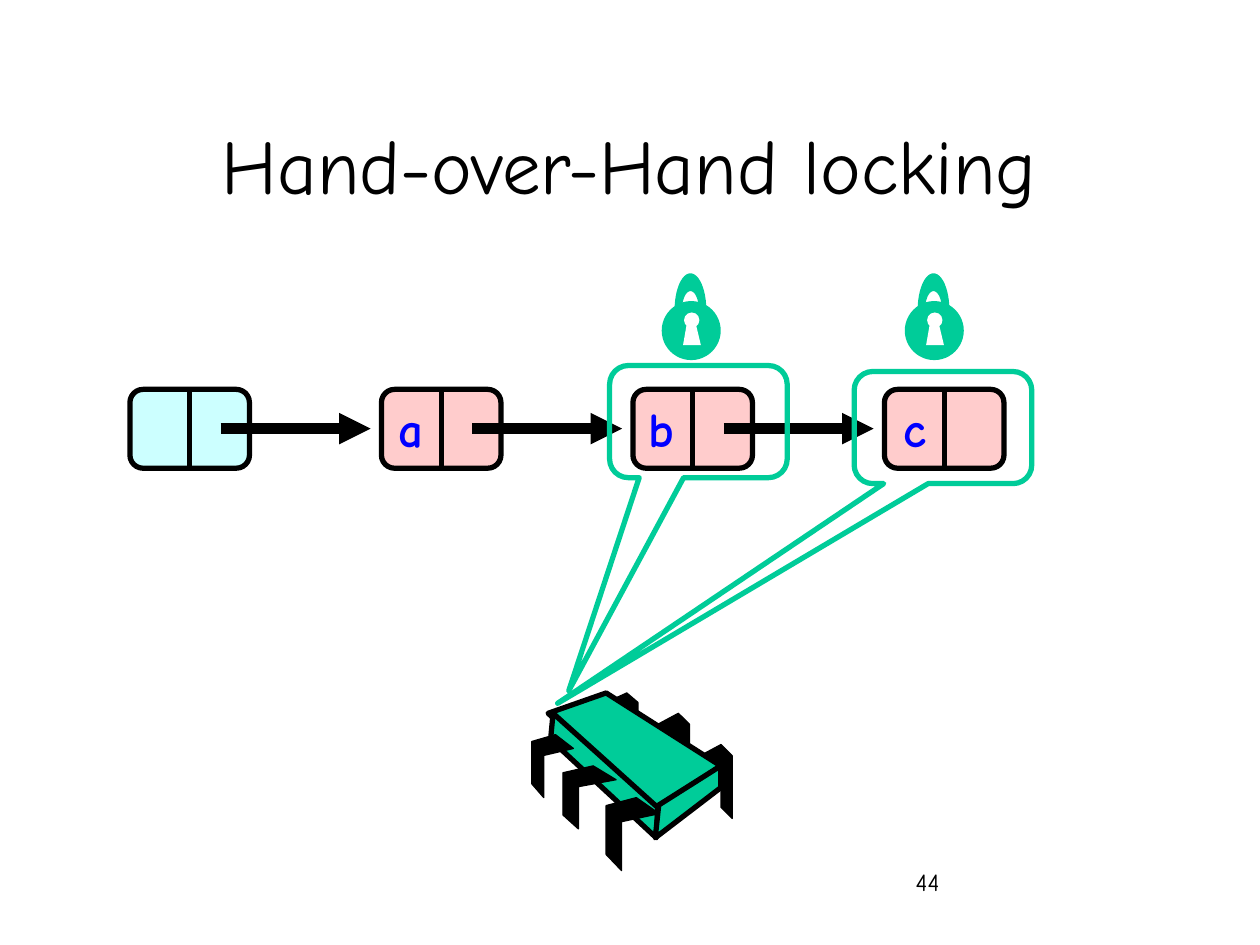
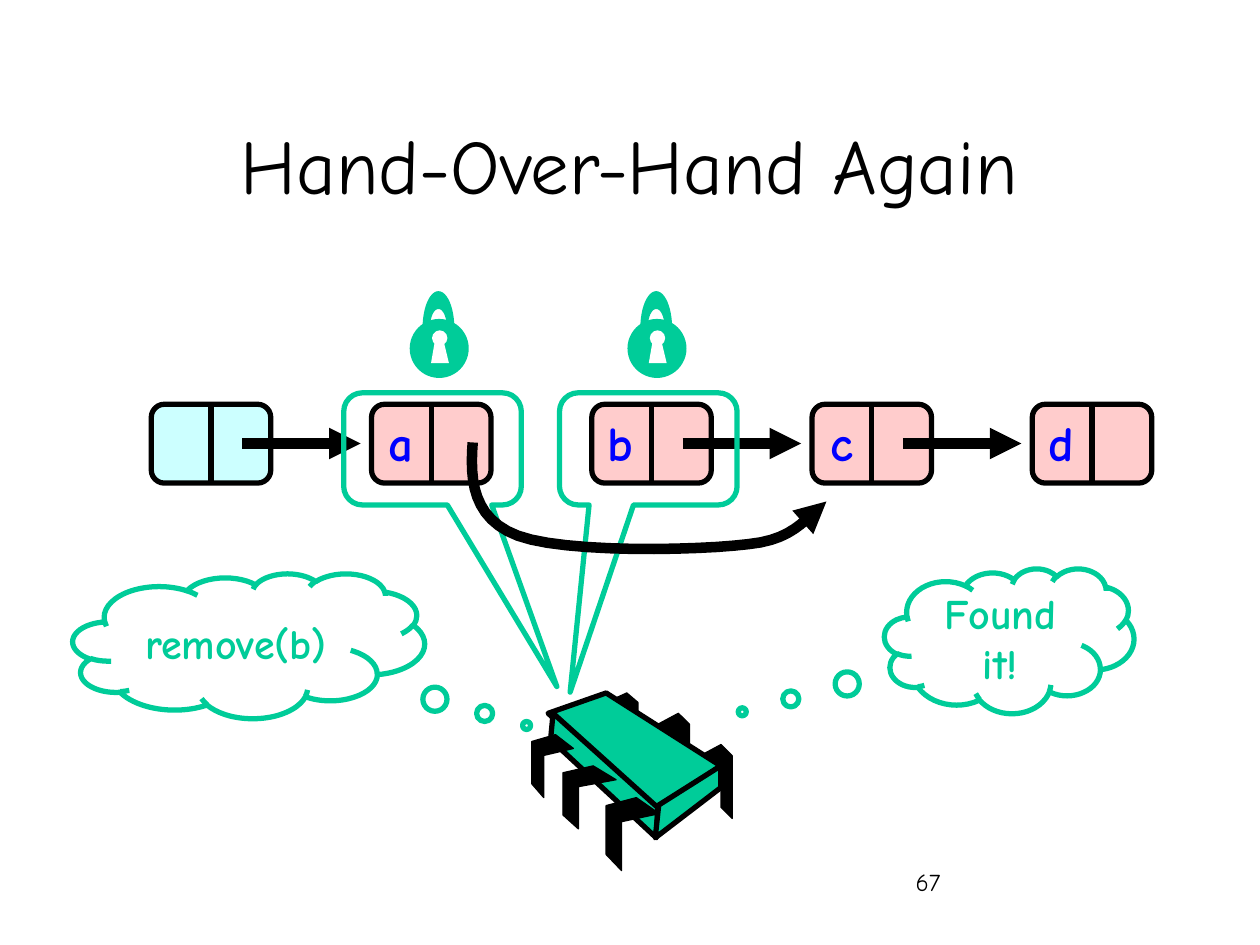
import dataclasses
import math

import lxml.etree
import pptx
import pptx.dml.color
import pptx.enum.shapes
import pptx.enum.text
import pptx.oxml.ns
import pptx.shapes.connector
import pptx.util

Cm = pptx.util.Cm
qn = pptx.oxml.ns.qn
KIND = pptx.enum.shapes.MSO_SHAPE
ALIGN = pptx.enum.text.PP_ALIGN
ANCHOR = pptx.enum.text.MSO_ANCHOR
STRAIGHT = pptx.enum.shapes.MSO_CONNECTOR.STRAIGHT


@dataclasses.dataclass(frozen=True)
class Theme:
    font: str = "Comic Neue"
    ink: str = "000000"
    paper: str = "FFFFFF"
    green: str = "00CC99"
    head: str = "CCFFFF"
    node: str = "FFCCCC"
    label: str = "0000FF"
    title: int = 44
    letter: int = 28
    thought: int = 24
    number: int = 14


theme = Theme()


def write(frame, text, size, color=theme.ink, bold=False, align=ALIGN.LEFT,
          anchor=ANCHOR.TOP, wrap=True):
    frame.text = text
    frame.word_wrap = wrap
    frame.vertical_anchor = anchor
    para = frame.paragraphs[0]
    para.alignment = align
    para.font.name = theme.font
    para.font.size = pptx.util.Pt(size)
    para.font.bold = bold
    para.font.color.rgb = pptx.dml.color.RGBColor.from_string(color)


def paint(item, fill=None, line=None, width=3, arrow=False):
    """Set fill, line and arrowhead, and drop the shadow."""
    color = pptx.dml.color.RGBColor.from_string
    if line:
        item.line.color.rgb = color(line)
        item.line.width = pptx.util.Pt(width)
    else:
        item.line.fill.background()
    props = item.element.spPr
    if arrow:
        lxml.etree.SubElement(props.find(qn("a:ln")), qn("a:tailEnd"), type="triangle")
    if isinstance(item, pptx.shapes.connector.Connector):
        lxml.etree.SubElement(props, qn("a:effectLst"))
        return
    item.shadow.inherit = False
    if fill:
        item.fill.solid()
        item.fill.fore_color.rgb = color(fill)
    else:
        item.fill.background()


# All places are in centimetres.
NODE_W, NODE_H = 2.41, 1.59
CALL_W, CALL_H = 3.58, 2.26
LOCK = 1.19

# Chip legs as fractions of their boxes; chip faces as places on the slide.
BACK = [(0, .15), (.65, 0), (1, .15), (1, 1), (.65, .85), (.65, .29), (0, .43)]
FRONT = [(.57, 0), (1, .22), (.29, .33), (.29, 1), (0, .78), (0, .11)]
TOP = [(12.22, 13.97), (14.53, 15.44), (13.23, 16.33), (11.05, 14.38)]
SIDE = [(11.15, 14.38), (13.26, 16.28), (13.23, 16.89), (11.1, 14.91)]
END = [(14.53, 15.44), (14.53, 15.88), (13.21, 16.89), (13.28, 16.23)]
WHOLE = (0, 0, 1, 1)
CHIP = [
    (BACK, (14.12, 15.01, .64, 1.49), theme.ink, .75),
    (BACK, (13.26, 14.38, .64, 1.49), theme.ink, .75),
    (BACK, (12.22, 13.97, .64, 1.27), theme.ink, .75),
    (TOP, WHOLE, theme.green, 3),
    (SIDE, WHOLE, theme.green, 3),
    (END, WHOLE, theme.green, 3),
    (FRONT, (12.22, 16.08, 1.07, 1.47), theme.ink, .75),
    (FRONT, (11.35, 15.44, 1.07, 1.27), theme.ink, .75),
    (FRONT, (10.72, 14.81, .84, 1.27), theme.ink, .75),
]

# Padlock outlines, measured from the corner of the round body.
SLOT = [(.43, .89), (.51, .43), (.68, .43), (.79, .89)]
ARC = [math.pi * n / 24 for n in range(25)]
SHACKLE = [(.58 - .17 * math.cos(a), .18 - .38 * math.sin(a)) for a in ARC]
SHACKLE += [(.58 + .32 * math.cos(a), .18 - .74 * math.sin(a)) for a in ARC]

# Each bend is a start, two control points and an end.
BENDS = [
    [(9.53, 8.92), (9.47, 9.68), (9.53, 10.46), (10.44, 10.8)],
    [(10.44, 10.8), (11.38, 11.15), (14.05, 11.1), (15.09, 10.97)],
    [(15.09, 10.97), (16.13, 10.87), (16.33, 10.29), (16.66, 10.11)],
]

PAGES = [
    dict(
        title="Hand-over-Hand locking", number="44",
        left=2.62, top=7.85, step=5.07, nodes=["", "a", "b", "c"], arrows=[0, 1, 2],
        calls=[(17.22, 7.49, -2.17, 2.46), (12.29, 7.37, -.73, 2.4)],
        locks=[(18.24, 6.07), (13.34, 6.07)], clouds=[], bends=[],
    ),
    dict(
        title="Hand-Over-Hand Again", number="67",
        left=3.05, top=8.15, step=4.44, nodes=["", "a", "b", "c", "d"], arrows=[0, 2, 3],
        calls=[(11.28, 7.92, -.44, 2.17), (6.93, 7.92, .7, 2.12)],
        locks=[(12.65, 6.43), (8.26, 6.43)],
        clouds=[("remove(b)", 1.47, 11.56, 7.09, .79, .55),
                ("Found it!", 17.83, 11.46, 5.03, -1.07, .49)],
        bends=BENDS,
    ),
]

deck = pptx.Presentation()
deck.slide_width, deck.slide_height = Cm(25.4), Cm(19.05)

for page in PAGES:
    slide = deck.slides.add_slide(deck.slide_layouts[5])
    shapes = slide.shapes
    title = shapes.title
    title.left, title.top, title.width, title.height = Cm(1.9), Cm(1.7), Cm(21.59), Cm(3.18)
    write(title.text_frame, page["title"], theme.title, align=ALIGN.CENTER, anchor=ANCHOR.MIDDLE)
    number = shapes.add_textbox(Cm(18.21), Cm(17.35), Cm(5.28), Cm(1.27))
    write(number.text_frame, page["number"], theme.number)

    # Linked list
    top, step = page["top"], page["step"]
    for spot, letter in enumerate(page["nodes"]):
        left = page["left"] + spot * step
        node = shapes.add_shape(KIND.ROUNDED_RECTANGLE, Cm(left), Cm(top), Cm(NODE_W), Cm(NODE_H))
        paint(node, theme.node if letter else theme.head, theme.ink)
        split = shapes.add_connector(STRAIGHT, 0, 0, 0, 0)
        split.begin_connect(node, 0)
        split.end_connect(node, 2)
        paint(split, line=theme.ink)
        if letter:
            label = shapes.add_textbox(Cm(left), Cm(top + .05), Cm(1.09), Cm(1.45))
            write(label.text_frame, letter, theme.letter, color=theme.label, bold=True,
                  align=ALIGN.RIGHT, wrap=False)
    for spot in page["arrows"]:
        start = page["left"] + spot * step + 1.83
        level = Cm(top + .79)
        arrow = shapes.add_connector(STRAIGHT, Cm(start), level, Cm(start + step - 2.05), level)
        paint(arrow, line=theme.ink, width=6, arrow=True)

    # Padlocks and the callouts that tie them to the chip
    for left, high in page["locks"]:
        body = shapes.add_shape(KIND.OVAL, Cm(left), Cm(high), Cm(LOCK), Cm(LOCK))
        paint(body, theme.green)
        hole = shapes.add_shape(KIND.OVAL, Cm(left + .45), Cm(high + .23), Cm(.31), Cm(.31))
        paint(hole, theme.paper)
        for dots, fill in [(SLOT, theme.paper), (SHACKLE, theme.green)]:
            dots = [(Cm(left + x), Cm(high + y)) for x, y in dots]
            pen = shapes.build_freeform(*dots[0])
            pen.add_line_segments(dots[1:])
            paint(pen.convert_to_shape(), fill)
    for left, high, tip_x, tip_y in page["calls"]:
        call = shapes.add_shape(KIND.ROUNDED_RECTANGULAR_CALLOUT,
                                Cm(left), Cm(high), Cm(CALL_W), Cm(CALL_H))
        call.adjustments[0], call.adjustments[1] = tip_x, tip_y
        paint(call, line=theme.green)

    # Chip
    for dots, (left, high, wide, tall), fill, width in CHIP:
        dots = [(Cm(left + x * wide), Cm(high + y * tall)) for x, y in dots]
        pen = shapes.build_freeform(*dots[0])
        pen.add_line_segments(dots[1:])
        paint(pen.convert_to_shape(), fill, theme.ink, width)

    # Thoughts
    for text, left, high, wide, tip_x, tip_y in page["clouds"]:
        cloud = shapes.add_shape(KIND.CLOUD_CALLOUT, Cm(left), Cm(high), Cm(wide), Cm(2.92))
        cloud.adjustments[0], cloud.adjustments[1] = tip_x, tip_y
        paint(cloud, line=theme.green)
        write(cloud.text_frame, text, theme.thought, color=theme.green, bold=True,
              align=ALIGN.CENTER, anchor=ANCHOR.MIDDLE)

    # New link around the removed node
    track = []
    for bend in page["bends"]:
        for n in range(13):
            t = n / 12
            parts = [(1 - t) ** 3, 3 * t * (1 - t) ** 2, 3 * t * t * (1 - t), t ** 3]
            track.append(tuple(Cm(sum(k * dot[axis] for k, dot in zip(parts, bend)))
                               for axis in (0, 1)))
    if track:
        pen = shapes.build_freeform(*track[0])
        pen.add_line_segments(track[1:], close=False)
        paint(pen.convert_to_shape(), line=theme.ink, width=6, arrow=True)

deck.save("out.pptx")
